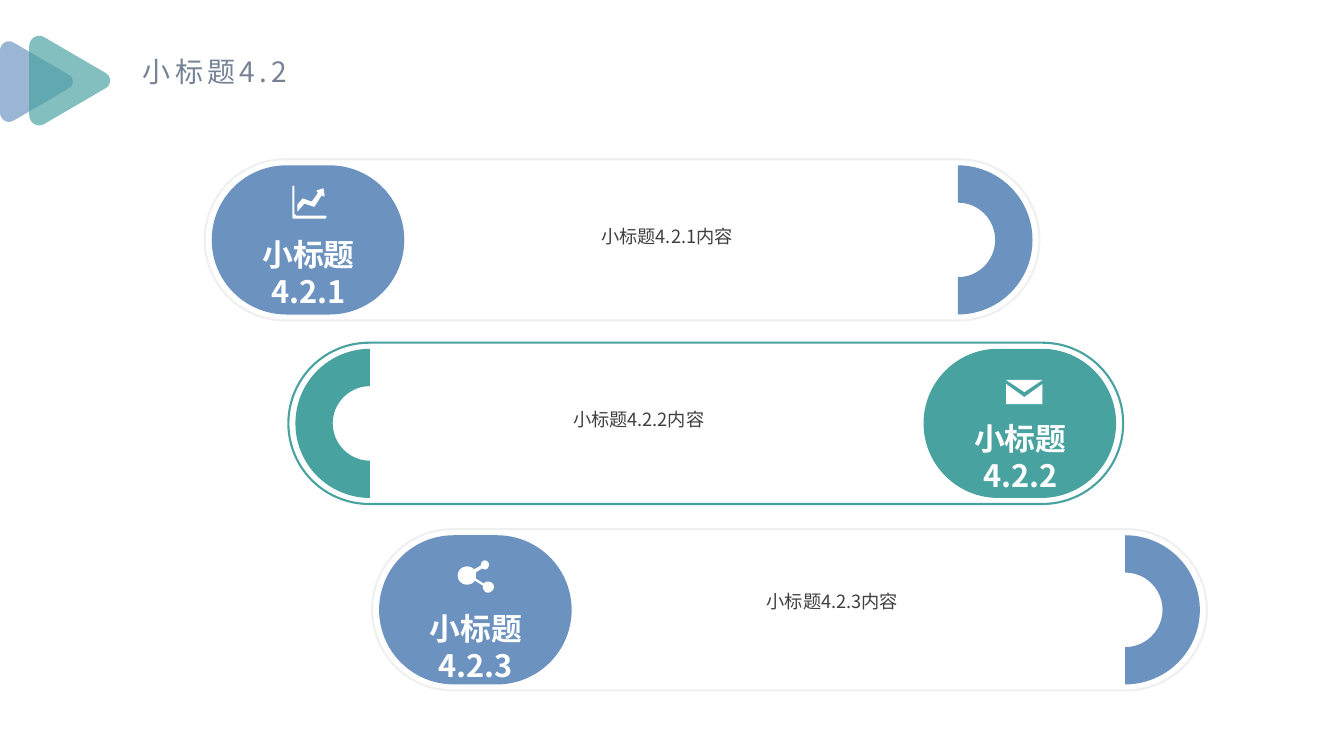
from dataclasses import dataclass
from typing import Optional, Sequence

from lxml import etree
from pptx import Presentation
from pptx import util as u
from pptx.dml.color import RGBColor
from pptx.enum import shapes, text
from pptx.oxml.ns import qn

PX = 9144  # EMU per px, 100 px to the inch


@dataclass(frozen=True)
class Theme:
    font: str = "Noto Sans CJK SC"
    blue: str = "6C92C0"
    teal: str = "48A2A0"
    pale: str = "F0F0F0"
    white: str = "FFFFFF"
    heading: str = "768394"
    body: str = "404040"
    title_pt: int = 20
    label_pt: int = 22
    body_pt: int = 13
    outline_pt: float = 1.5


@dataclass(frozen=True)
class Box:
    x: int
    y: int
    w: int
    h: int

    def emu(self) -> list[u.Emu]:
        return [u.Emu(v * PX) for v in (self.x, self.y, self.w, self.h)]


Point = tuple[float, float]
# A contour holds points, and cubic curves given as (control, control, end).
Contour = Sequence[tuple]


@dataclass(frozen=True)
class Icon:
    x: int
    y: int
    contours: Sequence[Contour]


@dataclass(frozen=True)
class Row:
    number: str
    x: int
    y: int
    color: str
    outline: str
    pill_on_left: bool
    label_y: int
    body_x: int
    body_y: int
    icon: Icon


THEME = Theme()
CAPSULE_W, CAPSULE_H, PILL_W, PILL_H, MARGIN = 828, 160, 191, 148, 7

TRIANGLE: Contour = [
    (75, -8), (15, -43), ((8, -47), (0, -42), (0, -34)),
    (0, 34), ((0, 42), (8, 47), (15, 43)),
    (75, 8), ((82, 5), (82, -5), (75, -8)),
]
CHART_ICON = Icon(290, 184, [
    [(30, 3), (31, 3), (32, 10), (31, 11), (29, 10), (22, 21), (21, 21),
     (12, 18), (5, 26), (5, 19), (10, 13), (11, 13), (19, 16), (20, 15),
     (25, 8), (25, 7), (24, 6), (24, 5)],
    [(0, 1), (1, 0), (2, 1), (2, 28), (4, 30), (33, 30), (34, 31),
     (33, 33), (1, 33), (0, 32)],
])
MAIL_ICON = Icon(998, 377, [
    [(36, 4), (36, 24), (0, 24), (0, 4), (18, 17)],
    [(0, 0), (36, 0), (18, 12)],
])
SHARE_ICON = Icon(454, 556, [[
    (30, 21), ((29, 21), (27, 21), (26, 23)), (18, 18),
    ((18, 17), (18, 16), (18, 15)), (18, 12), (24, 8),
    ((25, 8), (26, 9), (27, 9)), ((29, 9), (31, 7), (31, 4)),
    ((31, 2), (29, 0), (27, 0)), ((25, 0), (23, 2), (23, 4)),
    (23, 5), (16, 9), ((15, 7), (12, 6), (9, 6)),
    ((4, 6), (0, 10), (0, 15)), ((0, 20), (4, 24), (9, 24)),
    ((12, 24), (15, 23), (17, 20)), (25, 25), (25, 26),
    ((25, 29), (27, 32), (30, 32)), ((33, 32), (36, 29), (36, 26)),
    ((36, 23), (33, 21), (30, 21)),
]])
ROWS = [
    Row("4.2.1", 203, 158, THEME.blue, THEME.pale, True, 234, 449, 215, CHART_ICON),
    Row("4.2.2", 286, 340, THEME.teal, THEME.teal, False, 416, 421, 396, MAIL_ICON),
    Row("4.2.3", 369, 525, THEME.blue, THEME.pale, True, 605, 613, 577, SHARE_ICON),
]


def flatten(contour: Contour, steps: int = 8) -> list[Point]:
    """Turn the curves of a contour into short straight steps."""
    points: list[Point] = []
    for part in contour:
        if not isinstance(part[0], tuple):
            points.append(part)
            continue
        a, (b, c, d) = points[-1], part
        for i in range(1, steps + 1):
            t = i / steps
            v = 1 - t
            points.append(tuple(
                v**3 * a[k] + 3 * v * v * t * b[k] + 3 * v * t * t * c[k] + t**3 * d[k]
                for k in (0, 1)))
    return points


def paint(s, fill: Optional[str], line: Optional[str] = None) -> None:
    s.shadow.inherit = False
    if fill:
        s.fill.solid()
        s.fill.fore_color.rgb = RGBColor.from_string(fill)
    else:
        s.fill.background()
    if line:
        s.line.color.rgb = RGBColor.from_string(line)
        s.line.width = u.Pt(THEME.outline_pt)
    else:
        s.line.fill.background()


def add_outline(slide, x: int, y: int, contours: Sequence[Contour], color: str,
                scale: float = 1, opacity: int = 100) -> None:
    builder = None
    for contour in contours:
        points = [(round((x + px * scale) * PX), round((y + py * scale) * PX))
                  for px, py in flatten(contour)]
        if builder is None:
            builder = slide.shapes.build_freeform(*points[0])
        else:
            builder.move_to(*points[0])
        builder.add_line_segments(points[1:], close=True)
    s = builder.convert_to_shape()
    paint(s, color)
    if opacity < 100:
        clr = s._element.spPr.find(qn("a:solidFill"))[0]
        etree.SubElement(clr, qn("a:alpha")).set("val", str(opacity * 1000))


def add_preset(slide, kind, box: Box, fill: Optional[str], line: Optional[str] = None):
    s = slide.shapes.add_shape(kind, *box.emu())
    paint(s, fill, line)
    return s


def add_capsule(slide, box: Box, fill: Optional[str], line: Optional[str] = None) -> None:
    s = add_preset(slide, shapes.MSO_SHAPE.ROUNDED_RECTANGLE, box, fill, line)
    s.adjustments[0] = 0.5


def add_text(slide, box: Box, words: str, size: int, color: str, bold: bool = False,
             centred: bool = True, leading: Optional[int] = None,
             tracking: Optional[int] = None) -> None:
    """Centred text wraps and has no insets; other text stays on one line."""
    tf = slide.shapes.add_textbox(*box.emu()).text_frame
    tf.word_wrap = centred
    tf.auto_size = text.MSO_AUTO_SIZE.SHAPE_TO_FIT_TEXT
    p = tf.paragraphs[0]
    p.text = words
    if centred:
        tf.margin_left = tf.margin_right = tf.margin_top = tf.margin_bottom = 0
        p.alignment = text.PP_ALIGN.CENTER
    if leading:
        p.line_spacing = u.Pt(leading)
    p.font.size, p.font.bold, p.font.name = u.Pt(size), bold, THEME.font
    p.font.color.rgb = RGBColor.from_string(color)
    props = p._p.get_or_add_pPr().find(qn("a:defRPr"))
    etree.SubElement(props, qn("a:ea")).set("typeface", THEME.font)
    if tracking:
        props.set("spc", str(tracking * 100))


def add_row(slide, row: Row) -> None:
    left = row.x + MARGIN
    right = row.x + CAPSULE_W - MARGIN
    top = row.y + (CAPSULE_H - PILL_H) // 2
    pill_x, arc_x = (left, right - PILL_H) if row.pill_on_left else (right - PILL_W, left)
    add_capsule(slide, Box(row.x, row.y, CAPSULE_W, CAPSULE_H), None, row.outline)
    add_capsule(slide, Box(pill_x, top, PILL_W, PILL_H), row.color)
    arc = add_preset(slide, shapes.MSO_SHAPE.BLOCK_ARC,
                     Box(arc_x, top, PILL_H, PILL_H), row.color)
    arc.rotation = 90 if row.pill_on_left else 270
    add_outline(slide, row.icon.x, row.icon.y, row.icon.contours, THEME.white)
    add_text(slide, Box(row.body_x, row.body_y, 425, 31), f"小标题{row.number}内容",
             THEME.body_pt, THEME.body, leading=22)
    add_text(slide, Box(pill_x + 29, row.label_y, 134, 74), f"小标题{row.number}",
             THEME.label_pt, THEME.white, bold=True)


def main() -> None:
    prs = Presentation()
    prs.slide_width, prs.slide_height = u.Inches(13.33), u.Inches(7.5)
    slide = prs.slides.add_slide(prs.slide_layouts[6])
    add_text(slide, Box(132, 49, 170, 44), "小标题4.2", THEME.title_pt, THEME.heading,
             centred=False, tracking=3)
    add_outline(slide, 0, 81, [TRIANGLE], THEME.blue, scale=0.9, opacity=68)
    add_outline(slide, 29, 80, [TRIANGLE], THEME.teal, opacity=68)
    for row in ROWS:
        add_row(slide, row)
    prs.save("out.pptx")


if __name__ == "__main__":
    main()
